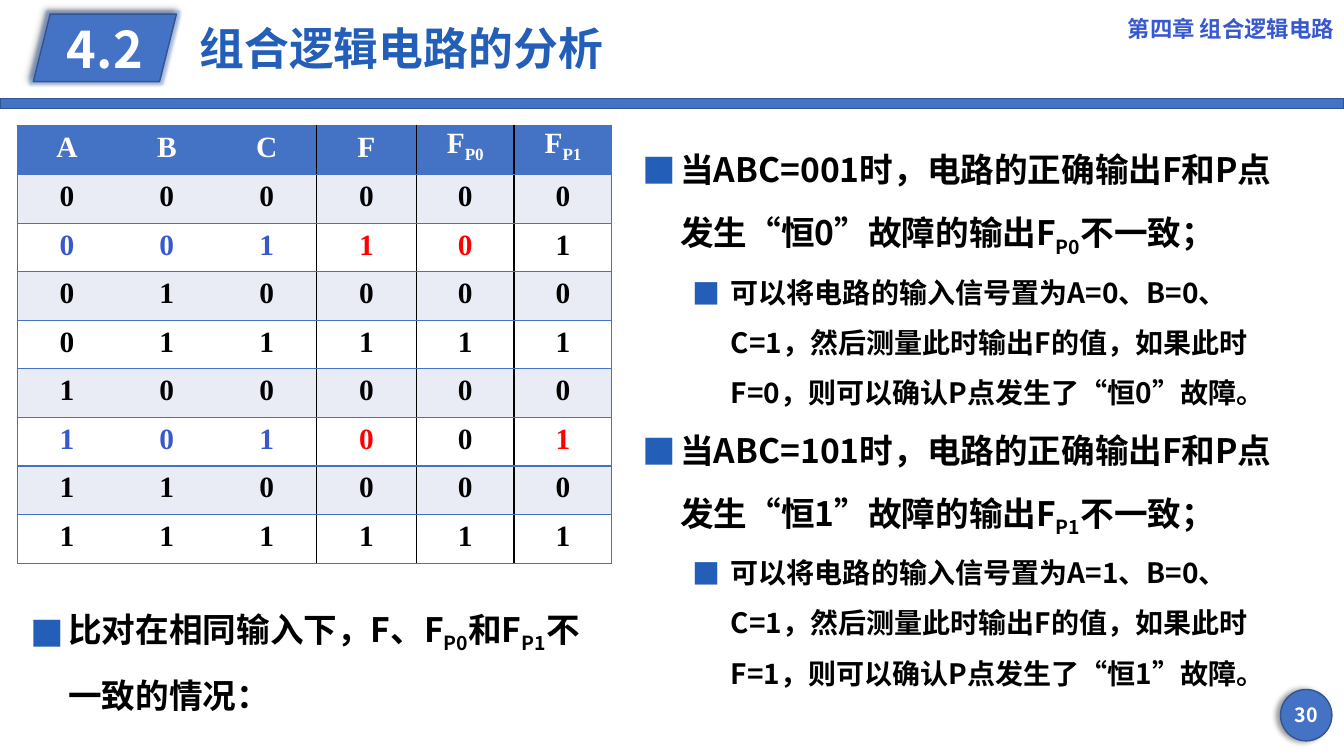
import pptx
import pptx.util
import pptx.dml.color
import pptx.enum.shapes
import pptx.enum.text
import pptx.oxml
import pptx.oxml.ns
from lxml import etree

PX = 9144  # EMU per px, 100 px to the inch
SANS, SERIF = "Noto Sans CJK SC", "Times New Roman"
COLORS = {"bar": "4472C4", "edge": "325491", "title": "235EB8", "accent": "3859CD",
          "white": "FFFFFF", "black": "000000", "red": "FF0000", "band": "E9EBF5"}
ALIGN = pptx.enum.text.PP_ALIGN
MIDDLE = pptx.enum.text.MSO_ANCHOR.MIDDLE
SHAPES = pptx.enum.shapes.MSO_SHAPE

TRUTH_TABLE = ["000000", "001101", "010000", "011111", "100000", "101001", "110000", "111111"]
MISMATCHES = {2: {3, 4}, 6: {3, 5}}  # row -> columns in red
# Text between bars is subscript.
FINDINGS = [
    (0, "当ABC=001时，电路的正确输出F和P点发生“恒0”故障的输出F|P0|不一致；"),
    (1, "可以将电路的输入信号置为A=0、B=0、C=1，然后测量此时输出F的值，"
        "如果此时F=0，则可以确认P点发生了“恒0”故障。"),
    (0, "当ABC=101时，电路的正确输出F和P点发生“恒1”故障的输出F|P1|不一致；"),
    (1, "可以将电路的输入信号置为A=1、B=0、C=1，然后测量此时输出F的值，"
        "如果此时F=1，则可以确认P点发生了“恒1”故障。"),
]
COMPARISON = [(0, "比对在相同输入下，F、F|P0|和F|P1|不一致的情况：")]


def emu(box):
    return [round(length * PX) for length in box]


def rgb(name):
    return pptx.dml.color.RGBColor.from_string(COLORS[name])


def set_all(target, values):
    for name, value in values.items():
        setattr(target, name, value)


def add_xml(parent, markup):
    ns = pptx.oxml.ns.nsdecls("a")
    parent.append(pptx.oxml.parse_xml(markup.replace(">", f" {ns}>", 1) if "/>" not in
                                      markup.split(">")[0] + ">" else
                                      markup.replace("/>", f" {ns}/>", 1)))


def write(paragraph, text, size, color, font=SANS, **layout):
    set_all(paragraph, layout)
    for index, piece in enumerate(text.split("|")):
        if not piece:
            continue
        run = paragraph.add_run()
        run.text = piece
        set_all(run.font, {"size": pptx.util.Pt(size), "bold": True, "name": font})
        run.font.color.rgb = rgb(color)
        properties = run.font._element
        add_xml(properties, f'<a:ea typeface="{font}"/>')
        if index % 2:
            properties.set("baseline", "-25000")


def add_label(slide, box, text, size, color, **layout):
    frame = slide.shapes.add_textbox(*emu(box)).text_frame
    set_all(frame, {"word_wrap": True, "vertical_anchor": MIDDLE})
    write(frame.paragraphs[0], text, size, color, **layout)


def add_blue_shape(slide, kind, box, shadow_angle=None, glow=False):
    shape = slide.shapes.add_shape(kind, *emu(box))
    shape.shadow.inherit = False
    shape.fill.solid()
    shape.fill.fore_color.rgb = rgb("bar")
    shape.line.color.rgb = rgb("edge")
    shape.line.width = pptx.util.Pt(1)
    effects = shape._element.spPr.find(pptx.oxml.ns.qn("a:effectLst"))
    if glow:
        add_xml(effects, f'<a:glow rad="50800"><a:srgbClr val="{COLORS["bar"]}">'
                         '<a:alpha val="40000"/></a:srgbClr></a:glow>')
    if shadow_angle is not None:
        add_xml(effects, f'<a:outerShdw blurRad="50800" dist="38100" dir="{shadow_angle * 60000}" '
                         f'rotWithShape="0"><a:srgbClr val="{COLORS["black"]}">'
                         '<a:alpha val="40000"/></a:srgbClr></a:outerShdw>')
    return shape


def add_header(slide, box):
    left, top, width, height = box
    add_blue_shape(slide, SHAPES.RECTANGLE, (left, top + height - 10, width, 10))
    add_label(slide, (left + width - 230, top, 230, 56), "第四章 组合逻辑电路", 16, "accent",
              alignment=ALIGN.RIGHT)
    section = add_blue_shape(slide, SHAPES.PARALLELOGRAM, (left + 33, top + 14, 142, 67),
                             shadow_angle=225, glow=True).text_frame
    set_all(section, {"word_wrap": False, "vertical_anchor": MIDDLE})
    write(section.paragraphs[0], "4.2", 36, "white", alignment=ALIGN.CENTER)
    add_label(slide, (left + 188, top + 11, 873, 80), "组合逻辑电路的分析", 32, "title",
              line_spacing=0.9)


def add_page_number(slide, box):
    left, top, width, height = box
    add_blue_shape(slide, SHAPES.OVAL, box, shadow_angle=180)
    add_label(slide, (left - 6, top + 5, width + 12, height - 11), "30", 14, "white",
              alignment=ALIGN.CENTER)


def set_borders(cell, borders):
    properties = cell._tc.get_or_add_tcPr()
    for index, (side, color) in enumerate(borders.items()):
        paint = (f'<a:solidFill><a:srgbClr val="{COLORS[color]}"/></a:solidFill>'
                 if color else "<a:noFill/>")
        add_xml(properties, f'<a:{side} w="12700">{paint}</a:{side}>')
        properties.insert(index, properties[-1])


def add_truth_table(slide, box):
    rows = [["A", "B", "C", "F", "F|P0|", "F|P1|"], *TRUTH_TABLE]
    row_count, column_count = len(rows), len(rows[0])
    table = slide.shapes.add_table(row_count, column_count, *emu(box)).table
    for index, column in enumerate(table.columns):
        column.width = (99 if index < 4 else 97) * PX
    dividers = ["bar", None, None, "black", "black", "black", "bar"]
    for r, row in enumerate(rows):
        for c, value in enumerate(row):
            cell = table.cell(r, c)
            set_all(cell, {"margin_left": 15 * PX, "margin_right": 15 * PX, "margin_top": 0,
                           "margin_bottom": 0, "vertical_anchor": MIDDLE})
            cell.fill.solid()
            cell.fill.fore_color.rgb = rgb("bar" if r == 0 else "band" if r % 2 else "white")
            color = "white" if r == 0 else "black"
            if r in MISMATCHES:
                color = "accent" if c < 3 else "red" if c in MISMATCHES[r] else "black"
            write(cell.text_frame.paragraphs[0], value, 21, color, SERIF,
                  alignment=ALIGN.CENTER, line_spacing=pptx.util.Pt(20))
            set_borders(cell, {"lnL": dividers[c], "lnR": dividers[c + 1],
                               "lnT": "bar", "lnB": "bar"})


def add_bullets(slide, box, items):
    frame = slide.shapes.add_textbox(*emu(box)).text_frame
    frame.word_wrap = True
    for index, (level, text) in enumerate(items):
        paragraph = frame.add_paragraph() if index else frame.paragraphs[0]
        properties = paragraph._p.get_or_add_pPr()
        properties.set("marL", str((38 + 50 * level) * PX))
        properties.set("indent", str(-38 * PX))
        add_xml(properties, f'<a:buClr><a:srgbClr val="{COLORS["title"]}"/></a:buClr>')
        add_xml(properties, f'<a:buFont typeface="{SANS}"/>')
        add_xml(properties, '<a:buChar char="■"/>')
        write(paragraph, text, 20 if level else 24, "black", level=level, line_spacing=1.5)


def main():
    deck = pptx.Presentation()
    set_all(deck, {"slide_width": 1333 * PX, "slide_height": 750 * PX})
    slide = deck.slides.add_slide(deck.slide_layouts[6])
    add_header(slide, (0, 0, 1333, 108))
    add_page_number(slide, (1270, 684, 51, 51))
    add_truth_table(slide, (17, 125, 590, 434))
    add_bullets(slide, (627, 123, 676, 555), FINDINGS)
    add_bullets(slide, (20, 576, 572, 131), COMPARISON)
    deck.save("out.pptx")


if __name__ == "__main__":
    main()
